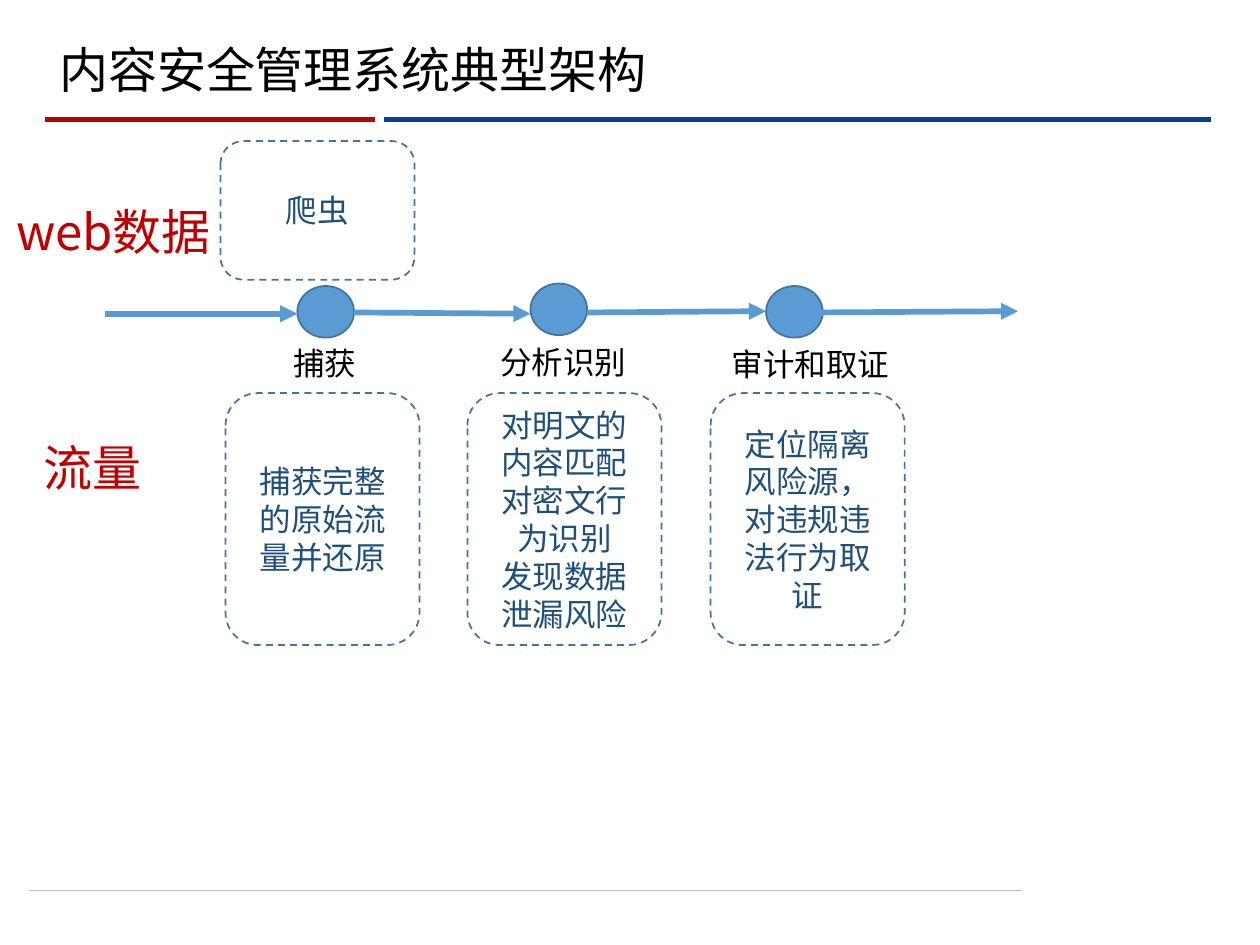
"""Build the slide on the typical architecture of a content security system."""
from lxml.etree import SubElement
from pptx import Presentation
from pptx.dml.color import RGBColor
from pptx.enum.dml import MSO_LINE
from pptx.enum.shapes import MSO_CONNECTOR, MSO_SHAPE
from pptx.enum.text import MSO_ANCHOR, MSO_AUTO_SIZE, PP_ALIGN
from pptx.oxml.ns import qn
from pptx.util import Inches, Pt

BLACK = RGBColor(0x00, 0x00, 0x00)
RED = RGBColor(0xC0, 0x00, 0x00)
NAVY = RGBColor(0x00, 0x42, 0x99)
GRAY = RGBColor(0xBF, 0xBF, 0xBF)
BLUE = RGBColor(0x5B, 0x9B, 0xD5)
EDGE = RGBColor(0x43, 0x73, 0x9E)
INK = RGBColor(0x1F, 0x4E, 0x79)
SANS = "Noto Sans CJK SC"


def write(shape, text, size=18, name="Roboto", color=BLACK, align=PP_ALIGN.LEFT, wrap=True):
    frame = shape.text_frame
    frame.text = text
    frame.word_wrap = wrap
    frame.auto_size = MSO_AUTO_SIZE.NONE
    frame.vertical_anchor = MSO_ANCHOR.MIDDLE
    for para in frame.paragraphs:
        para.alignment = align
        para.line_spacing = 1.0
        for run in para.runs:
            run.font.size = Pt(size)
            run.font.name = name
            run.font.color.rgb = color
            SubElement(run.font._element, qn("a:ea"), typeface=name)


def draw(start, end, color, width, arrow=False):
    line = slide.shapes.add_connector(MSO_CONNECTOR.STRAIGHT, *map(Inches, start + end))
    line.line.color.rgb = color
    line.line.width = Pt(width)
    if arrow:
        SubElement(line.line._get_or_add_ln(), qn("a:tailEnd"), type="triangle")
    SubElement(line._element.spPr, qn("a:effectLst"))


deck = Presentation()
deck.slide_width, deck.slide_height = Inches(10), Inches(7.5)
slide = deck.slides.add_slide(deck.slide_layouts[5])

draw((0.23, 7.07), (8.11, 7.07), GRAY, 0.5)
draw((3.05, 0.95), (9.61, 0.95), NAVY, 3)
draw((0.36, 0.95), (2.98, 0.95), RED, 3)

for left, top in [(2.36, 2.27), (4.21, 2.25), (6.08, 2.27)]:
    node = slide.shapes.add_shape(
        MSO_SHAPE.OVAL, Inches(left), Inches(top), Inches(0.45), Inches(0.41))
    node.shadow.inherit = False
    node.fill.solid()
    node.fill.fore_color.rgb = BLUE
    node.line.color.rgb = EDGE
    node.line.width = Pt(1)

for start, end in [
    ((0.83, 2.49), (2.36, 2.49)),
    ((2.81, 2.48), (4.21, 2.49)),
    ((4.66, 2.48), (6.08, 2.47)),
    ((6.47, 2.48), (8.08, 2.47)),
]:
    draw(start, end, BLUE, 3.25, arrow=True)

for text, left, top, width in [
    ("捕获", 2.23, 2.68, 0.71),
    ("分析识别", 3.87, 2.67, 1.21),
    ("审计和取证", 5.71, 2.69, 1.46),
]:
    label = slide.shapes.add_textbox(Inches(left), Inches(top), Inches(width), Inches(0.4))
    write(label, text, wrap=False)

for text, left, top, height in [
    ("捕获完整的原始流量并还原", 1.79, 3.12, 2),
    ("对明文的内容匹配对密文行为识别\n发现数据泄漏风险", 3.71, 3.12, 2),
    ("定位隔离风险源，对违规违法行为取证", 5.64, 3.12, 2),
    ("爬虫", 1.75, 1.12, 1.1),
]:
    card = slide.shapes.add_shape(
        MSO_SHAPE.ROUNDED_RECTANGLE, Inches(left), Inches(top), Inches(1.54), Inches(height))
    card.shadow.inherit = False
    card.fill.background()
    card.line.color.rgb = EDGE
    card.line.width = Pt(1)
    card.line.dash_style = MSO_LINE.DASH
    write(card, text, color=INK, align=PP_ALIGN.CENTER)

title = slide.shapes.title
title.left, title.top, title.width, title.height = map(Inches, (0.37, 0.26, 5.11, 0.57))
write(title, "内容安全管理系统典型架构", size=28, name=SANS)

for text, left, top in [("流量", 0.25, 3.42), ("web数据", 0.03, 1.55)]:
    input_box = slide.shapes.add_textbox(Inches(left), Inches(top), Inches(5.11), Inches(0.57))
    write(input_box, text, size=28, name=SANS, color=RED)

deck.save("out.pptx")
